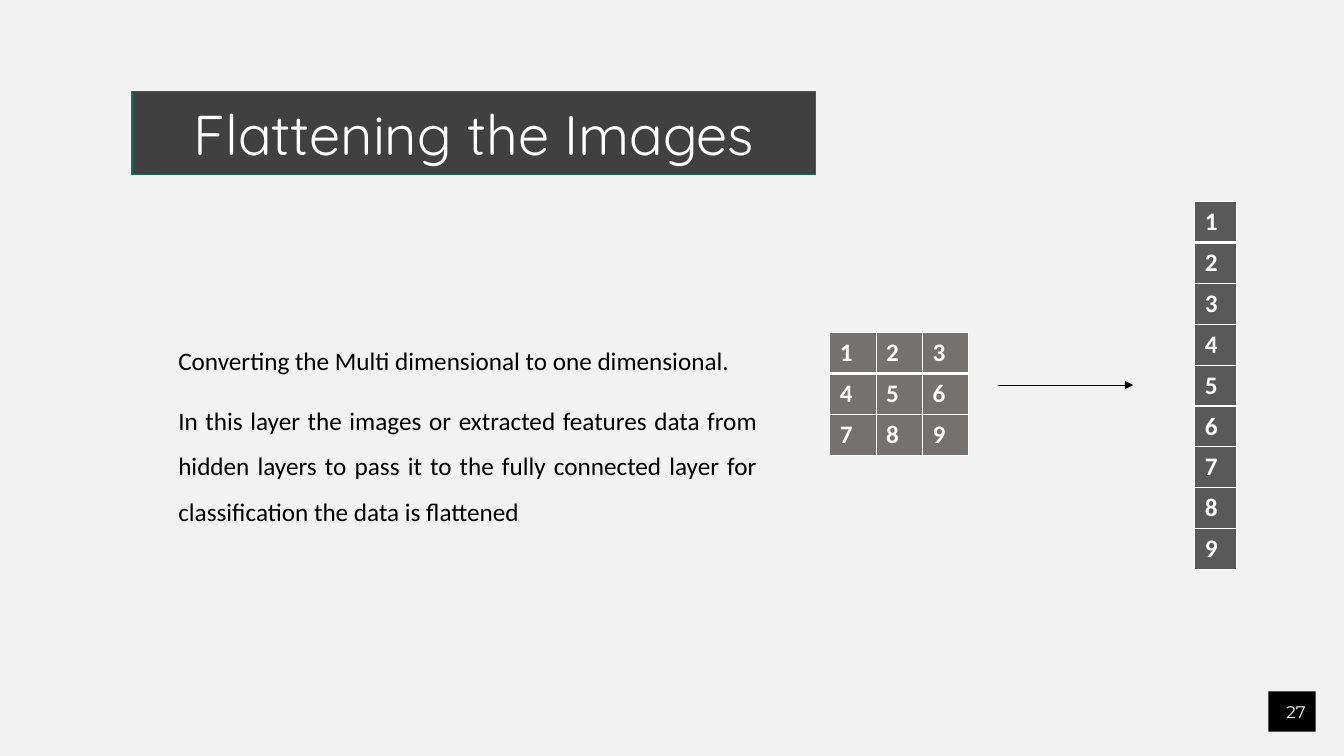
from lxml import etree
from pptx import Presentation
from pptx.dml.color import RGBColor
from pptx.enum.shapes import MSO_CONNECTOR, MSO_SHAPE
from pptx.enum.text import MSO_ANCHOR, PP_ALIGN
from pptx.oxml.ns import qn
from pptx.util import Inches, Pt

TITLE = "Flattening the Images"
BODY = [
    "Converting the Multi dimensional to one dimensional.",
    "In this layer the images or extracted features data from hidden layers to pass it "
    "to the fully connected layer for classification the data is flattened",
]
PAGE_NUMBER = "27"
MATRIX = [[1, 2, 3], [4, 5, 6], [7, 8, 9]]
VECTOR = [[value] for row in MATRIX for value in row]

COLOURS = {
    "background": "F2F2F2", "title": "404040", "title_line": "157259",
    "matrix": "767171", "vector": "595959", "black": "000000", "white": "FFFFFF",
}
ROW_HEIGHT = 3.65 / len(VECTOR)


def colour(name):
    return RGBColor.from_string(COLOURS[name])


def place(shape, left, top, width, height):
    shape.left, shape.top = Inches(left), Inches(top)
    shape.width, shape.height = Inches(width), Inches(height)


def paint(target, name):
    target.fill.solid()
    target.fill.fore_color.rgb = colour(name)


def style(paragraph, font_name, size, font_colour, align, bold=False):
    paragraph.alignment = align
    for span in paragraph.runs:
        font = span.font
        font.name, font.size, font.bold = font_name, Pt(size), bold
        font.color.rgb = colour(font_colour)


def add_border(cell, side, points):
    """Add one white cell edge; side is L, R, T or B, called in that order."""
    properties = cell._tc.get_or_add_tcPr()
    edge = etree.SubElement(properties, qn(f"a:ln{side}"), w=str(Pt(points)))
    fill = etree.SubElement(edge, qn("a:solidFill"))
    etree.SubElement(fill, qn("a:srgbClr"), val=COLOURS["white"])


def add_number_table(slide, values, left, top, column_width, fill_name):
    rows, columns = len(values), len(values[0])
    table = slide.shapes.add_table(
        rows, columns, Inches(left), Inches(top),
        Inches(columns * column_width), Inches(rows * ROW_HEIGHT)).table
    table.first_row = table.horz_banding = False
    for column in table.columns:
        column.width = Inches(column_width)
    for row_index, row in enumerate(values):
        for column_index, value in enumerate(row):
            cell = table.cell(row_index, column_index)
            cell.text = str(value)
            style(cell.text_frame.paragraphs[0], "Calibri", 18, "white", PP_ALIGN.LEFT, True)
            for side in "LRTB":
                under_header = (row_index, side) in ((0, "B"), (1, "T"))
                add_border(cell, side, 3 if under_header else 1)
            paint(cell, fill_name)


def add_title(slide):
    title = slide.shapes.title
    place(title, 1.31, 0.91, 6.78, 0.82)
    outline = etree.SubElement(title._element.spPr, qn("a:prstGeom"), prst="roundRect")
    etree.SubElement(outline, qn("a:avLst"))
    paint(title, "title")
    title.line.color.rgb = colour("title_line")
    title.line.width = Pt(1)
    title.text_frame.text = TITLE
    title.text_frame.vertical_anchor = MSO_ANCHOR.MIDDLE
    style(title.text_frame.paragraphs[0], "Quicksand", 40, "white", PP_ALIGN.CENTER)


def add_body(slide):
    box = slide.shapes.add_textbox(Inches(1.67), Inches(2.5), Inches(5.94), Inches(3.5))
    frame = box.text_frame
    frame.word_wrap = True
    frame.vertical_anchor = MSO_ANCHOR.MIDDLE
    frame.text = "\n".join(BODY)
    for index, para in enumerate(frame.paragraphs):
        para.line_spacing = 1.5
        para.space_before = Pt(10 if index else 0)
        style(para, "Calibri", 18, "black", PP_ALIGN.JUSTIFY)


def add_page_number(slide):
    box = slide.shapes.add_shape(
        MSO_SHAPE.RECTANGLE, Inches(12.58), Inches(6.86), Inches(0.47), Inches(0.4))
    box.shadow.inherit = False
    paint(box, "black")
    box.line.fill.background()
    box.text_frame.text = PAGE_NUMBER
    box.text_frame.vertical_anchor = MSO_ANCHOR.MIDDLE
    style(box.text_frame.paragraphs[0], "Montserrat", 12, "white", PP_ALIGN.RIGHT)


def add_arrow(slide):
    arrow = slide.shapes.add_connector(
        MSO_CONNECTOR.STRAIGHT, Inches(9.9), Inches(3.82), Inches(11.24), Inches(3.82))
    arrow.line.color.rgb = colour("black")
    arrow.line.width = Pt(0.5)
    etree.SubElement(arrow.line._get_or_add_ln(), qn("a:tailEnd"), type="triangle")
    etree.SubElement(arrow._element.spPr, qn("a:effectLst"))


def main():
    deck = Presentation()
    deck.slide_width, deck.slide_height = Inches(13.33), Inches(7.5)
    slide = deck.slides.add_slide(deck.slide_layouts[5])
    paint(slide.background, "background")
    add_title(slide)
    add_body(slide)
    add_page_number(slide)
    add_number_table(slide, MATRIX, 8.23, 3.3, 0.46, "matrix")
    add_arrow(slide)
    add_number_table(slide, VECTOR, 11.85, 2, 0.41, "vector")
    deck.save("out.pptx")


if __name__ == "__main__":
    main()
